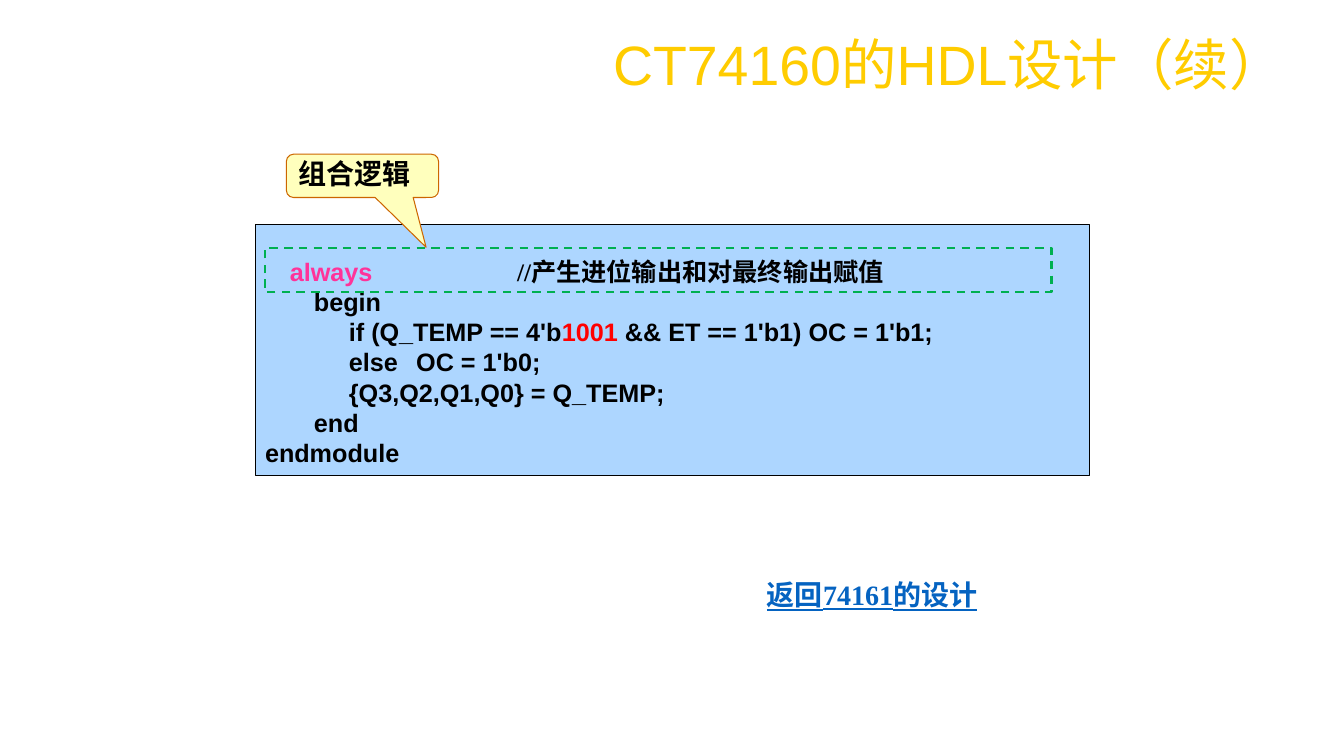
from dataclasses import dataclass
from pptx import Presentation
from pptx.dml.color import RGBColor as Rgb
from pptx.enum.dml import MSO_LINE as Dash
from pptx.enum.shapes import MSO_SHAPE as Kind
from pptx.enum.text import MSO_ANCHOR as Anchor, MSO_AUTO_SIZE as Fit, PP_ALIGN as Align
from pptx.util import Inches, Pt


@dataclass(frozen=True)
class Theme:
    gold: str = "FFCC00"
    black: str = "000000"
    pink: str = "FF3399"
    red: str = "FF0000"
    blue: str = "0563C1"
    green: str = "00B050"
    rust: str = "CC6600"
    sky: str = "ADD6FF"
    cream: str = "FFFFBD"
    sans: str = "Arial"
    serif: str = "Times New Roman"
    head: float = 39.6
    code: float = 18
    small: float = 16
    note: float = 20


T = Theme()

TITLE = "CT74160的HDL设计（续）"
NOTE = "组合逻辑"
LINK = "返回74161的设计"
CODE = [
    [
        ("    ", {"size": T.small}),
        ("always\t\t\t", {"color": T.pink}),
        ("//产生进位输出和对最终输出赋值", {"font": T.serif}),
    ],
    [("       begin", {})],
    [
        ("            if (Q_TEMP == 4'b", {}),
        ("1001", {"color": T.red}),
        (" && ET == 1'b1) OC = 1'b1;", {}),
    ],
    [("            else \tOC = 1'b0;", {})],
    [("            {Q3,Q2,Q1,Q0} = Q_TEMP;", {})],
    [("       end", {})],
    [("endmodule", {})],
]
SPOTS = {
    "title": (5.83, 0.33, 7.5, 0.67),
    "code": (2.53, 2.23, 8.28, 2.49),
    "link": (7.59, 5.72, 2.32, 0.4),
    "frame": (2.63, 2.46, 7.8, 0.44),
    "note": (2.84, 1.53, 1.51, 0.43),
}
TAIL = (0.418, 1.648, 0.167)


def place(name):
    return [Inches(n) for n in SPOTS[name]]


def write(para, text, size=T.code, color=T.black, font=T.sans, bold=True):
    run = para.add_run()
    run.text = text
    run.font.size = Pt(size)
    run.font.name = font
    run.font.bold = bold
    run.font.color.rgb = Rgb.from_string(color)
    return run


def pad(frame, left=0.1, top=0.05, right=0.1, bottom=0.05):
    frame.word_wrap = True
    frame.auto_size = Fit.NONE
    frame.margin_left, frame.margin_top = Inches(left), Inches(top)
    frame.margin_right, frame.margin_bottom = Inches(right), Inches(bottom)


def draw(slide, name, kind, line, width, fill=None):
    shape = slide.shapes.add_shape(kind, *place(name))
    shape.shadow.inherit = False
    if fill:
        shape.fill.solid()
        shape.fill.fore_color.rgb = Rgb.from_string(fill)
    else:
        shape.fill.background()
    shape.line.color.rgb = Rgb.from_string(line)
    shape.line.width = Pt(width)
    return shape


def add_title(slide):
    title = slide.shapes.title
    title.left, title.top, title.width, title.height = place("title")
    frame = title.text_frame
    pad(frame, left=0.25)
    frame.vertical_anchor = Anchor.MIDDLE
    para = frame.paragraphs[0]
    para.alignment = Align.LEFT
    para.line_spacing = 0.9
    write(para, TITLE, T.head, T.gold, bold=False)


def add_code(slide):
    frame = draw(slide, "code", Kind.RECTANGLE, T.black, 0.75, T.sky).text_frame
    pad(frame, top=0.31)
    frame.vertical_anchor = Anchor.TOP
    for i, row in enumerate(CODE):
        para = frame.add_paragraph() if i else frame.paragraphs[0]
        para.alignment = Align.LEFT
        for text, style in row:
            write(para, text, **style)


def add_link(slide):
    frame = slide.shapes.add_textbox(*place("link")).text_frame
    pad(frame, left=0, right=0.2)
    para = frame.paragraphs[0]
    para.alignment = Align.CENTER
    para.line_spacing = 0.9
    write(para, LINK, T.note, T.blue, T.serif).font.underline = True


def add_note(slide):
    shape = draw(slide, "note", Kind.ROUNDED_RECTANGULAR_CALLOUT, T.rust, 0.75, T.cream)
    for i, value in enumerate(TAIL):
        shape.adjustments[i] = value
    frame = shape.text_frame
    pad(frame)
    frame.vertical_anchor = Anchor.BOTTOM
    para = frame.paragraphs[0]
    para.alignment = Align.LEFT
    write(para, NOTE, T.note, font=T.serif)


def main():
    deck = Presentation()
    deck.slide_width, deck.slide_height = Inches(13.33), Inches(7.5)
    slide = deck.slides.add_slide(deck.slide_layouts[5])
    add_title(slide)
    add_code(slide)
    add_link(slide)
    draw(slide, "frame", Kind.RECTANGLE, T.green, 1.5).line.dash_style = Dash.DASH
    add_note(slide)
    deck.save("out.pptx")


if __name__ == "__main__":
    main()
